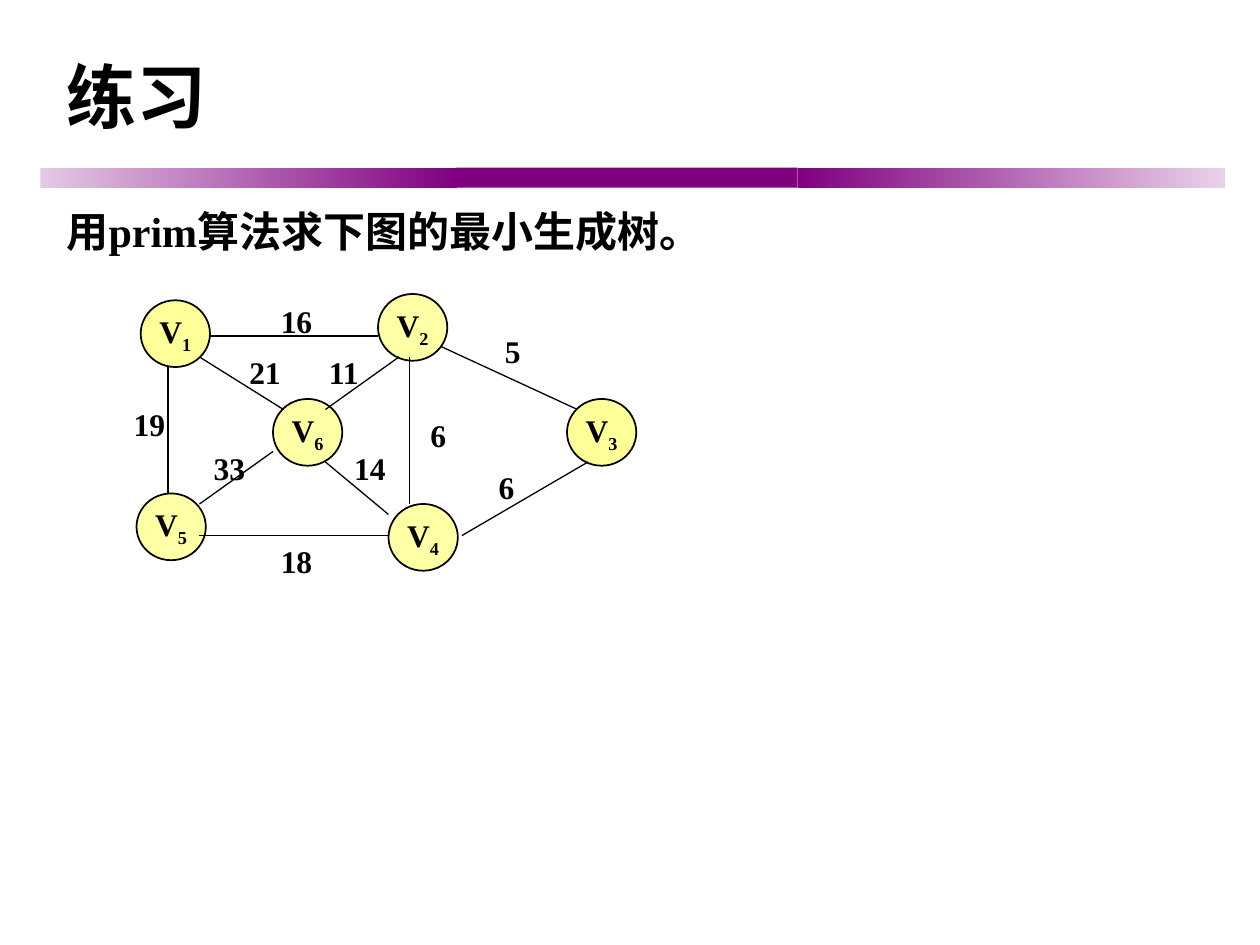
import pptx
import pptx.dml.color
import pptx.enum.shapes
import pptx.enum.text
import pptx.oxml.ns
import pptx.util
from lxml import etree

SHAPES = pptx.enum.shapes.MSO_SHAPE
ALIGN = pptx.enum.text.PP_ALIGN
ANCHOR = pptx.enum.text.MSO_ANCHOR

TITLE = "练习"
TASK = "用prim算法求下图的最小生成树。"
SERIF, HEADING = "Times New Roman", "Roboto Condensed"
BLACK, PURPLE = "000000", "800080"

# Band segments: left edge, width, colour at the left end, colour at the right end
BAND = [
    (0.32, 3.31, "E4C9E4", PURPLE),
    (3.62, 2.71, PURPLE, PURPLE),
    (6.33, 3.39, PURPLE, "E9D2E9"),
]
BAND_TOP, BAND_HEIGHT = 1.33, 0.16

# The graph lies on a grid of twelve cells to the inch.
CELL = 1 / 12
NODE_SIZE = (0.55, 0.53)
LABEL_SIZE = (0.54, 0.4)

# Vertex number: left, top, fill
NODES = {
    4: (37, 48, "FFFFA5"),
    1: (13.4, 28.6, "FFFF99"),
    6: (26, 38, "FFFFA5"),
    5: (13, 47, "FFFFA5"),
    2: (36, 28, "FFFFA5"),
    3: (54, 38, "FFFF99"),
}

# Weight, start of edge, end of edge, left and top of the weight's label
EDGES = [
    ("19", (16, 35), (16, 47), (11, 38)),
    ("16", (20, 32), (36, 32), (25, 28.2)),
    ("6", (39, 34), (39, 48), (38.5, 39)),
    ("18", (19, 51), (37, 51), (25, 51)),
    ("21", (19, 34), (27, 39), (22, 33)),
    ("14", (31, 44), (37, 49), (32, 42.2)),
    ("33", (19, 48), (26, 43), (18.6, 42.2)),
    ("11", (31, 39), (38, 34), (29.5, 33)),
    ("5", (42, 33), (55, 39), (45.6, 31)),
    ("6", (56, 44), (44, 51), (45, 44)),
]


def color(value):
    return pptx.dml.color.RGBColor.from_string(value)


def inches(*lengths):
    return [pptx.util.Inches(length) for length in lengths]


def on_grid(point):
    return [cells * CELL for cells in point]


def add_run(paragraph, text, size, font=SERIF):
    run = paragraph.add_run()
    run.text = text
    run.font.size = pptx.util.Pt(size)
    run.font.name = font
    run.font.bold = True
    run.font.color.rgb = color(BLACK)
    return run


def add_text(slide, box, text, size, font=SERIF, align=ALIGN.LEFT, anchor=ANCHOR.TOP):
    frame = slide.shapes.add_textbox(*inches(*box)).text_frame
    frame.word_wrap = True
    frame.vertical_anchor = anchor
    frame.paragraphs[0].alignment = align
    add_run(frame.paragraphs[0], text, size, font)


def add_band(slide):
    for left, width, start, end in BAND:
        segment = slide.shapes.add_shape(
            SHAPES.RECTANGLE, *inches(left, BAND_TOP, width, BAND_HEIGHT))
        segment.shadow.inherit = False
        segment.line.fill.background()
        if start == end:
            segment.fill.solid()
            segment.fill.fore_color.rgb = color(start)
        else:
            segment.fill.gradient()
            segment.fill.gradient_angle = 0
            for stop, shade in zip(segment.fill.gradient_stops, (start, end)):
                stop.color.rgb = color(shade)


def add_node(slide, number, left, top, fill):
    node = slide.shapes.add_shape(
        SHAPES.OVAL, *inches(*on_grid((left, top)), *NODE_SIZE))
    node.shadow.inherit = False
    node.fill.solid()
    node.fill.fore_color.rgb = color(fill)
    node.line.color.rgb = color(BLACK)
    node.line.width = pptx.util.Pt(1)
    frame = node.text_frame
    frame.word_wrap = False
    frame.vertical_anchor = ANCHOR.MIDDLE
    name = frame.paragraphs[0]
    name.alignment = ALIGN.CENTER
    add_run(name, "V", 18)
    subscript = add_run(name, str(number), 18)
    subscript.font._element.set("baseline", "-25000")


def add_edge(slide, start, end):
    edge = slide.shapes.add_connector(
        pptx.enum.shapes.MSO_CONNECTOR.STRAIGHT,
        *inches(*on_grid(start), *on_grid(end)))
    edge.line.color.rgb = color(BLACK)
    edge.line.width = pptx.util.Pt(0.75)
    etree.SubElement(edge._element.spPr, pptx.oxml.ns.qn("a:effectLst"))


def main():
    deck = pptx.Presentation()
    deck.slide_width, deck.slide_height = inches(10, 7.5)
    slide = deck.slides.add_slide(deck.slide_layouts[6])

    add_band(slide)
    add_text(slide, (0.43, 0.36, 9.06, 0.8), TITLE, 40, HEADING, anchor=ANCHOR.MIDDLE)
    add_text(slide, (0.43, 1.58, 9.21, 0.67), TASK, 24)

    for number, (left, top, fill) in NODES.items():
        add_node(slide, number, left, top, fill)
    for _, start, end, _ in EDGES:
        add_edge(slide, start, end)
    for weight, _, _, corner in EDGES:
        add_text(slide, (*on_grid(corner), *LABEL_SIZE), weight, 18, align=ALIGN.CENTER)

    deck.save("out.pptx")


if __name__ == "__main__":
    main()
